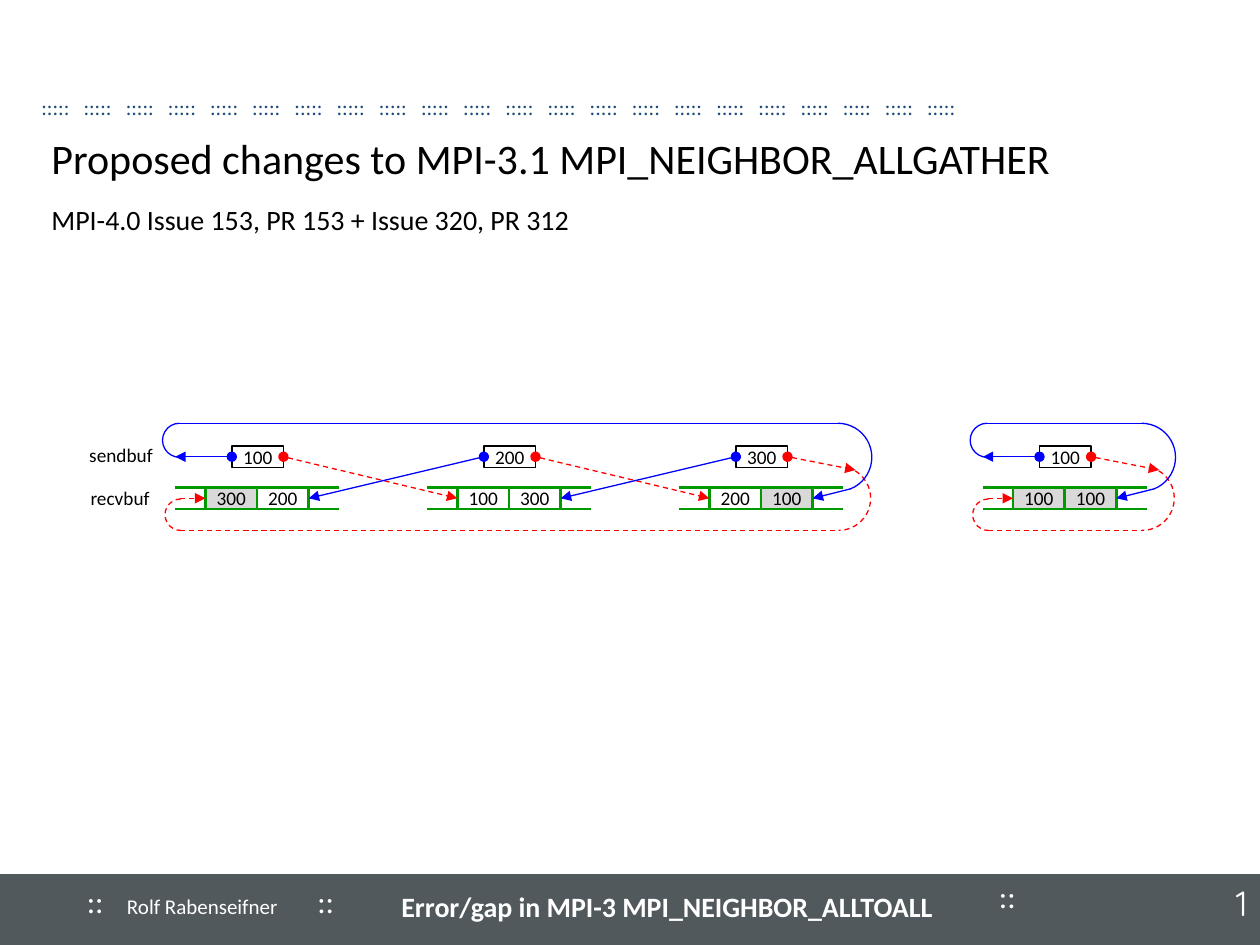
from typing import NamedTuple

from lxml import etree
from pptx import Presentation
from pptx.dml.color import RGBColor
from pptx.enum.dml import MSO_LINE
from pptx.enum.shapes import MSO_CONNECTOR, MSO_SHAPE
from pptx.enum.text import MSO_ANCHOR, PP_ALIGN
from pptx.oxml.ns import qn
from pptx.util import Inches, Pt

RECT, ARC = MSO_SHAPE.RECTANGLE, MSO_SHAPE.ARC
STRAIGHT, DASH = MSO_CONNECTOR.STRAIGHT, MSO_LINE.DASH
TOP, MIDDLE = MSO_ANCHOR.TOP, MSO_ANCHOR.MIDDLE
LEFT, CENTER, RIGHT = PP_ALIGN.LEFT, PP_ALIGN.CENTER, PP_ALIGN.RIGHT
LEFT_SIDE, RIGHT_SIDE = 1, 3

BLACK, WHITE, SLATE, NAVY = "000000", "FFFFFF", "51595D", "1F497D"
RED, BLUE, GREEN, GREY = "FF0000", "0000FF", "009900", "D9D9D9"

SEND_TOP, RECV_TOP = 3.54, 3.87
CELL_W, CELL_H = 0.41, 0.17
RAIL = 0.24
SEND_MID, RECV_MID = SEND_TOP + CELL_H / 2, RECV_TOP + CELL_H / 2
LOOP_TOP, LOOP_BOTTOM = 3.36, 4.21


class Label(NamedTuple):
    text: str
    left: float
    top: float
    width: float
    height: float
    size: int
    color: str = BLACK
    anchor: MSO_ANCHOR = TOP
    align: PP_ALIGN = LEFT
    bold: bool = False
    wrap: bool = True
    font: str = "Calibri"


class Process(NamedTuple):
    left: float
    send: str
    received: tuple[str, str]
    fills: tuple[str, str]


class Buffers(NamedTuple):
    left: float
    send: object
    recv_first: object
    recv_last: object


def rgb(value: str) -> RGBColor:
    return RGBColor.from_string(value)


def style_line(line, color: str, width: float, dashed: bool = False) -> None:
    line.color.rgb = rgb(color)
    line.width = Pt(width)
    if dashed:
        line.dash_style = DASH


def write(frame, text: str, size: int, color: str, align: PP_ALIGN,
          anchor: MSO_ANCHOR, bold: bool = False, font: str = "Calibri"):
    frame.vertical_anchor = anchor
    paragraph = frame.paragraphs[0]
    paragraph.text = text
    paragraph.alignment = align
    paragraph.font.size = Pt(size)
    paragraph.font.name = font
    paragraph.font.bold = bold
    paragraph.font.color.rgb = rgb(color)


def add_label(shapes, label: Label) -> None:
    box = shapes.add_textbox(*map(Inches, label[1:5]))
    box.text_frame.word_wrap = label.wrap
    write(box.text_frame, label.text, label.size, label.color, label.align,
          label.anchor, label.bold, label.font)


def add_dotted_rule(shapes, groups: int, pitch: float) -> None:
    box = shapes.add_textbox(Inches(0.23), Inches(0.7), Inches(8.98), Inches(0.3))
    box.text_frame.word_wrap = True
    properties = box.text_frame.paragraphs[0]._p.get_or_add_pPr()
    stops = etree.SubElement(properties, qn("a:tabLst"))
    for i in range(1, groups):
        etree.SubElement(stops, qn("a:tab"), pos=str(Inches(pitch * i)), algn="l")
    write(box.text_frame, "\t".join([":::::"] * groups), 12, NAVY, LEFT, TOP)


def add_box(shapes, left: float, top: float, width: float, height: float,
            fill: str, border: str, border_width: float):
    box = shapes.add_shape(RECT, Inches(left), Inches(top), Inches(width), Inches(height))
    box.shadow.inherit = False
    box.fill.solid()
    box.fill.fore_color.rgb = rgb(fill)
    style_line(box.line, border, border_width)
    return box


def add_cell(shapes, left: float, top: float, value: str, fill: str,
             border: str, border_width: float):
    cell = add_box(shapes, left, top, CELL_W, CELL_H, fill, border, border_width)
    cell.text_frame.margin_left = cell.text_frame.margin_right = 0
    write(cell.text_frame, value, 11, BLACK, CENTER, MIDDLE)
    return cell


def add_line(shapes, start: tuple[float, float], end: tuple[float, float], color: str,
             width: float = 0.75, head: str = "", tail: str = "",
             begin_at: tuple = (), end_at: tuple = ()) -> None:
    """Red lines are dashed; begin_at and end_at hold a cell and its side."""
    line = shapes.add_connector(STRAIGHT, *map(Inches, (*start, *end)))
    if begin_at:
        line.begin_connect(*begin_at)
    if end_at:
        line.end_connect(*end_at)
    style_line(line.line, color, width, color == RED)
    properties = line._element.spPr
    outline = properties.find(qn("a:ln"))
    for tag, kind in (("a:headEnd", head), ("a:tailEnd", tail)):
        if kind:
            etree.SubElement(outline, qn(tag), type=kind)
    etree.SubElement(properties, qn("a:effectLst"))


def add_arc(shapes, left: float, top: float, size: float, start: float,
            color: str, flips: str = "") -> None:
    arc = shapes.add_shape(ARC, Inches(left), Inches(top), Inches(size), Inches(size))
    arc.shadow.inherit = False
    arc.adjustments[0], arc.adjustments[1] = start, 53.87
    arc.fill.background()
    style_line(arc.line, color, 0.75, color == RED)
    for axis in flips:
        arc._element.spPr.xfrm.set("flip" + axis, "1")


def add_process(shapes, process: Process) -> Buffers:
    x = process.left
    send = add_cell(shapes, x + 0.45, SEND_TOP, process.send, WHITE, BLACK, 1)
    group = shapes.add_group_shape().shapes
    cells = [add_cell(group, x + RAIL + i * CELL_W, RECV_TOP, value, fill, GREEN, 1.5)
             for i, (value, fill) in enumerate(zip(process.received, process.fills))]
    for rail_left in (x + RAIL + 2 * CELL_W, x):
        for y in (RECV_TOP, RECV_TOP + CELL_H):
            add_line(group, (rail_left, y), (rail_left + RAIL, y), GREEN, 1.5)
    return Buffers(x, send, *cells)


def add_exchange(shapes, a: Buffers, b: Buffers) -> None:
    for color, begin, end in (
            (RED, (a.send, RIGHT_SIDE), (b.recv_first, LEFT_SIDE)),
            (BLUE, (b.send, LEFT_SIDE), (a.recv_last, RIGHT_SIDE))):
        add_line(shapes, (0, 0), (0, 0), color, head="oval", tail="triangle",
                 begin_at=begin, end_at=end)


def add_wraparound(shapes, first: Buffers, last: Buffers) -> None:
    x, end = first.left, last.left
    # Red: last sendbuf, round the bottom, to first recvbuf
    add_line(shapes, (end + 0.86, SEND_MID), (end + 1.4, 3.73), RED,
             head="oval", tail="triangle", begin_at=(last.send, RIGHT_SIDE))
    add_arc(shapes, end + 1.01, 3.7, 0.51, 171.12, RED)
    add_line(shapes, (x + 0.04, LOOP_BOTTOM), (end + 1.28, LOOP_BOTTOM), RED)
    add_arc(shapes, x - 0.08, 3.96, 0.25, 162, RED, "H")
    add_line(shapes, (x + 0.04, RECV_MID), (x + RAIL, RECV_MID), RED,
             tail="triangle", end_at=(first.recv_first, LEFT_SIDE))
    # Blue: first sendbuf, round the top, to last recvbuf
    add_line(shapes, (x + 0.45, SEND_MID), (x, SEND_MID), BLUE,
             head="oval", tail="triangle", begin_at=(first.send, LEFT_SIDE))
    add_arc(shapes, x - 0.1, LOOP_TOP, 0.27, 162, BLUE, "HV")
    add_line(shapes, (end + 1.26, LOOP_TOP), (x + 0.03, LOOP_TOP), BLUE)
    add_arc(shapes, end + 0.99, LOOP_TOP, 0.54, 174.44, BLUE, "V")
    add_line(shapes, (end + 1.36, 3.88), (end + 1.06, RECV_MID), BLUE,
             tail="triangle", end_at=(last.recv_last, RIGHT_SIDE))


LABELS = [
    *(Label("::", left, top, 0.41, 0.38, 18, WHITE)
      for left, top in ((0.59, 6.95), (2.42, 6.95), (7.83, 6.91))),
    Label("1", 8.05, 6.95, 1.95, 0.44, 20, WHITE, align=RIGHT, font="Quicksand"),
    Label("Rolf Rabenseifner", 0.91, 6.99, 1.47, 0.4, 12, WHITE, MIDDLE),
    Label("Proposed changes to MPI-3.1 MPI_NEIGHBOR_ALLGATHER",
          0.31, 1.02, 9.45, 0.46, 24, anchor=MIDDLE),
    Label("MPI-4.0 Issue 153, PR 153 + Issue 320, PR 312", 0.31, 1.56, 9.45, 1.43, 16),
    Label("Error/gap in MPI-3 MPI_NEIGHBOR_ALLTOALL",
          2.67, 6.99, 5.25, 0.4, 16, WHITE, MIDDLE, CENTER, True),
    Label("sendbuf", 0.61, 3.47, 0.71, 0.29, 11, wrap=False),
    Label("recvbuf", 0.62, 3.81, 0.68, 0.29, 11, wrap=False),
]

RINGS = [
    [Process(1.39, "100", ("300", "200"), (GREY, WHITE)),
     Process(3.39, "200", ("100", "300"), (WHITE, WHITE)),
     Process(5.39, "300", ("200", "100"), (WHITE, GREY))],
    [Process(7.8, "100", ("100", "100"), (GREY, GREY))],
]


def main() -> None:
    deck = Presentation()
    deck.slide_width, deck.slide_height = Inches(10), Inches(7.5)
    shapes = deck.slides.add_slide(deck.slide_layouts[6]).shapes

    # Footer band, dotted rule and texts
    add_box(shapes, 0, 6.95, 10, 0.55, SLATE, SLATE, 2)
    add_dotted_rule(shapes, 22, 7.03 / 21)
    for label in LABELS:
        add_label(shapes, label)

    # Rings of three processes and of one
    for ring in RINGS:
        buffers = [add_process(shapes, process) for process in ring]
        for a, b in zip(buffers, buffers[1:]):
            add_exchange(shapes, a, b)
        add_wraparound(shapes, buffers[0], buffers[-1])

    deck.save("out.pptx")


if __name__ == "__main__":
    main()
